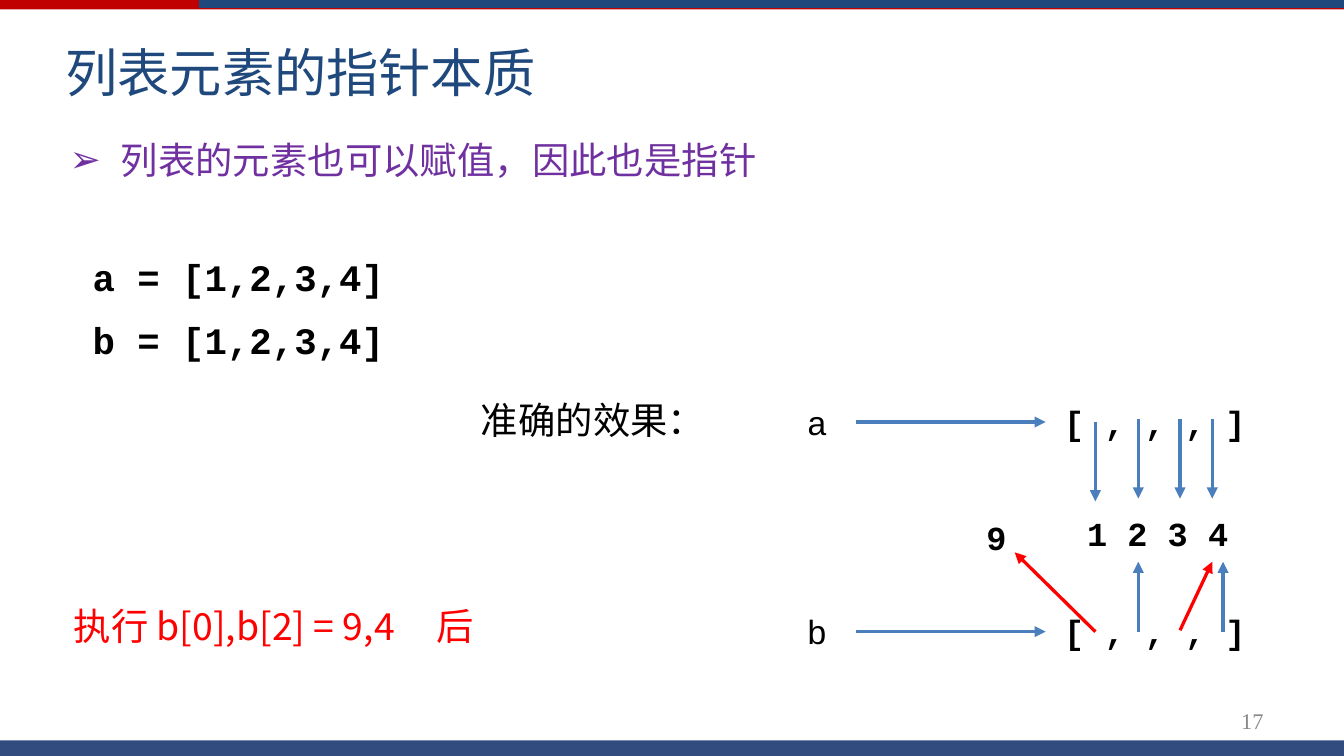
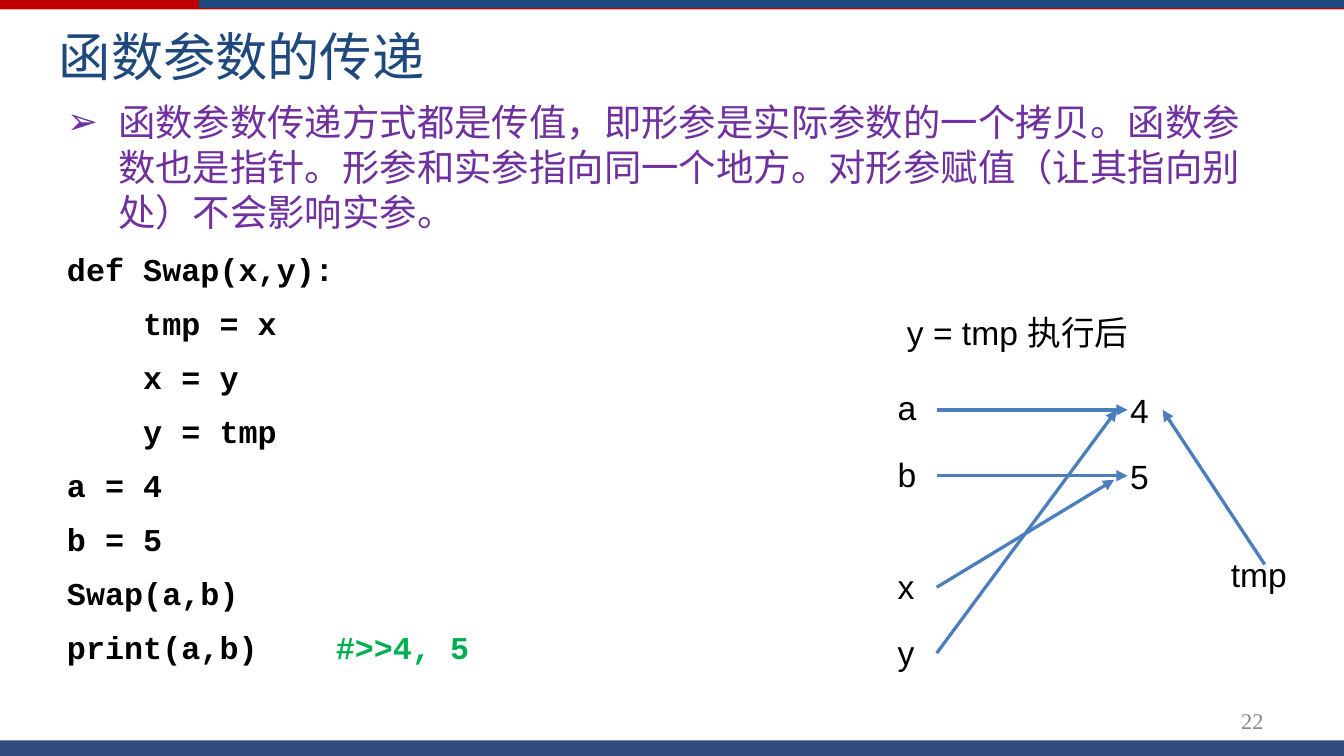
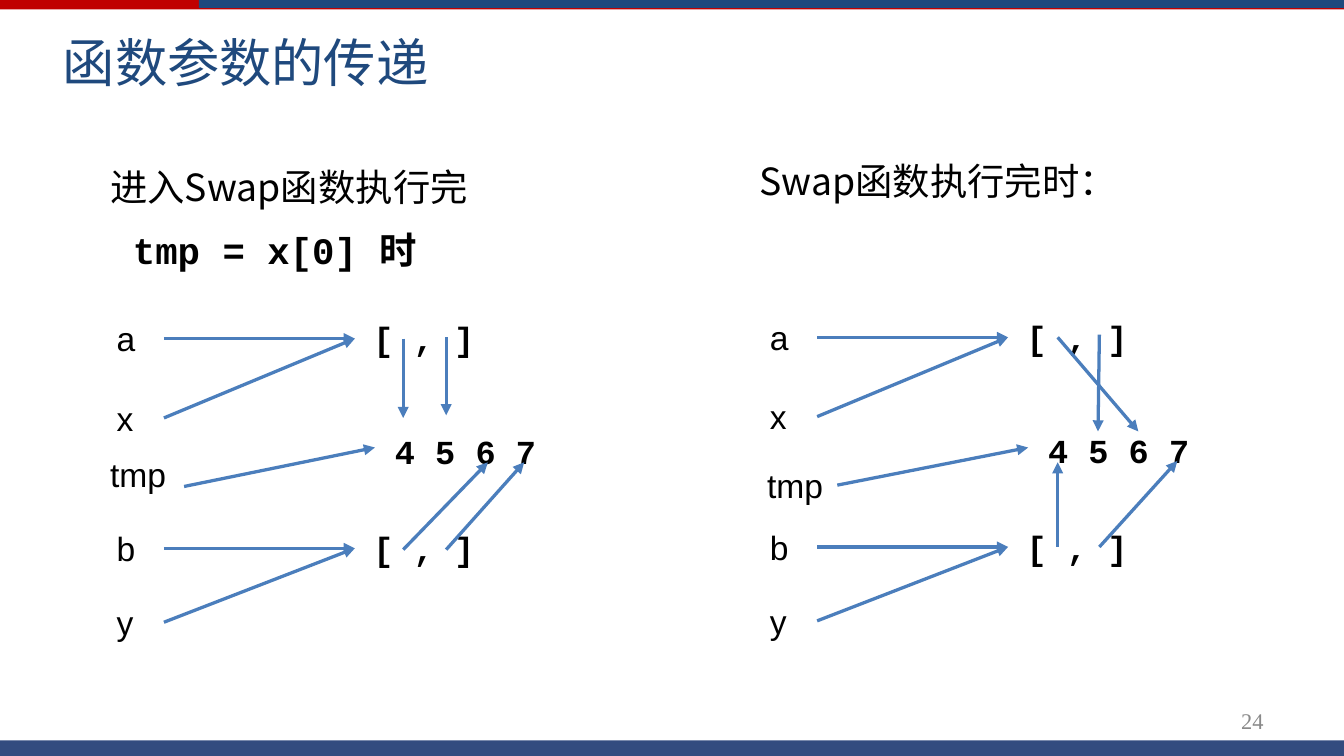
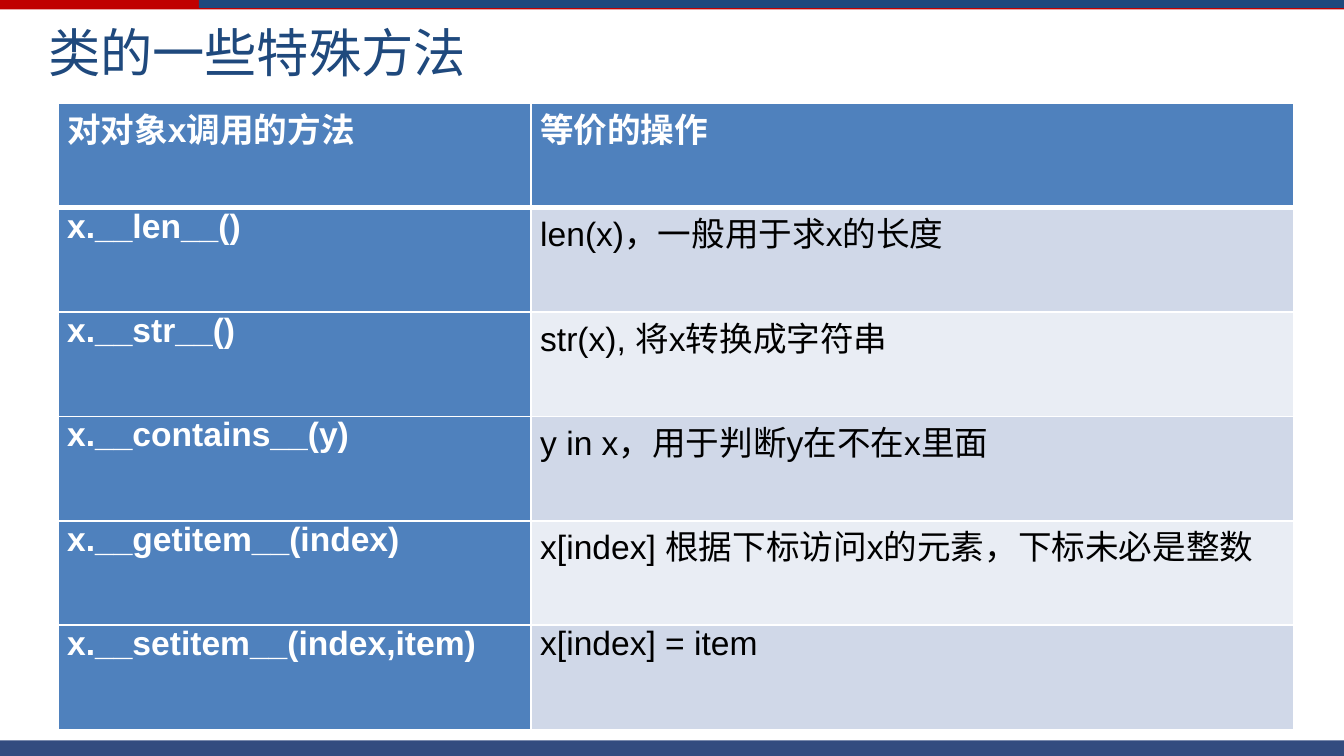
from dataclasses import dataclass, replace

from lxml import etree
from pptx import Presentation
from pptx.dml.color import RGBColor
from pptx.enum import shapes, text
from pptx.oxml import ns
from pptx.util import Inches, Pt


@dataclass(frozen=True)
class Style:
    font: str
    size: int
    color: str
    bold: bool = False
    bullet: str = ""
    indent: float = 0
    tab: float = 0
    line_height: float = 0  # points; 0 keeps the natural height


class Theme:
    cjk = "Noto Sans CJK SC"
    red, navy, footer = "C00000", "1F497D", "002060"
    arrow, alert, output = "4B7EBC", "FF0000", "00B050"
    white, header = "FFFFFF", "4F81BD"
    stripes = ("D0D8E8", "E9EDF4")
    arrow_width = 1.75

    title = Style("Arial", 28, navy)
    body = Style(cjk, 20, "000000", line_height=24)
    point = replace(body, color="7030A0", bullet="➢", indent=0.38)
    warning = replace(body, color=alert, tab=2.7)
    code = Style("Courier New", 20, "000000", True)
    code_mixed = replace(code, indent=0.17, line_height=24)
    code_small = replace(code, size=17, tab=2)
    value = replace(code, size=18)
    label = Style("Arial", 18, "000000")
    cell_head = Style("Arial", 18, white, True)
    number = Style("Times New Roman", 12, "898989")


def rgb(value):
    return RGBColor.from_string(value)


def add_child(parent, tag, **attributes):
    return etree.SubElement(parent, ns.qn(tag), attributes)


# Text
def format_run(run, style):
    run.font.name = style.font
    run.font.size = Pt(style.size)
    run.font.bold = style.bold
    run.font.color.rgb = rgb(style.color)
    add_child(run.font._element, "a:ea", typeface=Theme.cjk)


def write_paragraph(paragraph, content, style, first=True):
    paragraph.text = content
    properties = paragraph._p.get_or_add_pPr()
    if style.indent:
        properties.set("marL", str(Inches(style.indent)))
    if style.bullet:
        properties.set("indent", str(-Inches(style.indent)))
        add_child(properties, "a:buFont", typeface="Arial")
        add_child(properties, "a:buChar", char=style.bullet)
    if style.tab and "\t" in content:
        stops = add_child(properties, "a:tabLst")
        add_child(stops, "a:tab", pos=str(Inches(style.tab)), algn="l")
    if style.line_height:
        paragraph.line_spacing = Pt(style.line_height)
    if not first:
        paragraph.space_before = Pt(style.size / 2)
    for run in paragraph.runs:
        format_run(run, style)


def add_text(slide, place, lines, wrap=True, anchor=text.MSO_ANCHOR.TOP):
    shape = slide.shapes.add_textbox(*map(Inches, place))
    frame = shape.text_frame
    frame.word_wrap = wrap
    frame.vertical_anchor = anchor
    for index, (content, style) in enumerate(lines):
        paragraph = frame.add_paragraph() if index else frame.paragraphs[0]
        write_paragraph(paragraph, content, style, first=index == 0)
    return shape


def add_label(slide, left, top, content, style=Theme.label, width=0.39, height=0.4):
    shape = add_text(slide, (left, top, width, height), [(content, style)], wrap=False)
    shape.text_frame.auto_size = text.MSO_AUTO_SIZE.SHAPE_TO_FIT_TEXT
    return shape


def add_title(slide, content, left, top, width=9.14, height=0.87):
    add_text(slide, (left, top, width, height), [(content, Theme.title)],
             anchor=text.MSO_ANCHOR.MIDDLE)


# Bands and page number
def add_band(slide, place, color, alpha=100):
    band = slide.shapes.add_shape(shapes.MSO_SHAPE.RECTANGLE, *map(Inches, place))
    band.shadow.inherit = False
    band.fill.solid()
    band.fill.fore_color.rgb = rgb(color)
    band.line.fill.background()
    if alpha < 100:
        fill_color = band._element.spPr.find(".//" + ns.qn("a:srgbClr"))
        add_child(fill_color, "a:alpha", val=str(alpha * 1000))


def new_slide(presentation, number=None):
    slide = presentation.slides.add_slide(presentation.slide_layouts[6])
    add_band(slide, (0, 0, 10, 0.07), Theme.red)
    add_band(slide, (1.48, 0, 8.52, 0.06), Theme.navy)
    add_band(slide, (0, 5.51, 10, 0.12), Theme.footer, alpha=80)
    if number:
        shape = add_text(slide, (7.17, 5.21, 2.33, 0.3), [(number, Theme.number)],
                         anchor=text.MSO_ANCHOR.MIDDLE)
        shape.text_frame.paragraphs[0].alignment = text.PP_ALIGN.RIGHT
    return slide


# Arrows
def add_arrow(slide, start, end, color=Theme.arrow):
    arrow = slide.shapes.add_connector(
        shapes.MSO_CONNECTOR.STRAIGHT, *map(Inches, (*start, *end)))
    arrow.line.color.rgb = rgb(color)
    arrow.line.width = Pt(Theme.arrow_width)
    add_child(arrow.line._get_or_add_ln(), "a:tailEnd", type="triangle")
    add_child(arrow._element.spPr, "a:effectLst")
    return arrow


# Table
def add_cell_borders(cell, bottom):
    properties = cell._tc.get_or_add_tcPr()
    for side, width in (("L", 1), ("R", 1), ("T", 1), ("B", bottom)):
        line = add_child(properties, "a:ln" + side, w=str(Pt(width)))
        add_child(add_child(line, "a:solidFill"), "a:srgbClr", val=Theme.white)


def fill_cell(cell, content, style, color, bottom):
    cell.margin_left = cell.margin_right = Inches(0.07)
    cell.margin_top = cell.margin_bottom = 0
    add_cell_borders(cell, bottom)
    cell.fill.solid()
    cell.fill.fore_color.rgb = rgb(color)
    paragraph = cell.text_frame.paragraphs[0]
    write_paragraph(paragraph, content, style)
    paragraph.alignment = text.PP_ALIGN.JUSTIFY


def add_method_table(slide, place, widths, rows):
    table = slide.shapes.add_table(len(rows), len(widths), *map(Inches, place)).table
    for column, width in zip(table.columns, widths):
        column.width = Inches(width)
    for row_index, row in enumerate(rows):
        for column_index, content in enumerate(row):
            is_head = row_index == 0 or column_index == 0
            fill_cell(table.cell(row_index, column_index), content,
                      Theme.cell_head if is_head else Theme.label,
                      Theme.header if is_head else Theme.stripes[(row_index - 1) % 2],
                      bottom=3 if row_index == 0 else 1)


# Slides
def list_pointers_slide(presentation):
    slide = new_slide(presentation, "17")
    add_title(slide, "列表元素的指针本质", 0.39, 0.1)
    add_text(slide, (0.42, 0.97, 9.08, 0.51),
             [("列表的元素也可以赋值，因此也是指针", Theme.point)])
    add_text(slide, (0.59, 1.84, 3.15, 1.6),
             [(f"{name} = [1,2,3,4]", Theme.code) for name in "ab"])
    add_label(slide, 3.48, 2.91, "准确的效果：", Theme.body, 1.88, 0.44)
    add_text(slide, (0.45, 4.44, 3.85, 0.44),
             [("执行 b[0],b[2] = 9,4\t后", Theme.warning)])

    # Variables, their lists and the shared values
    for name, top in (("a", 2.94), ("b", 4.5)):
        add_label(slide, 5.91, top, name)
        add_arrow(slide, (6.37, top + 0.2), (7.78, top + 0.2))
        add_label(slide, 7.82, top, "[ , , , ]", Theme.value, 1.56)
    add_label(slide, 7.99, 3.77, "1 2 3 4", Theme.value, 1.26)
    add_label(slide, 7.24, 3.8, "9", Theme.value, 0.35)

    for x, top in ((8.15, 3.14), (8.47, 3.12), (8.78, 3.12), (9.02, 3.12)):
        add_arrow(slide, (x, top), (x, top + 0.59))
    for x in (8.47, 9.1):
        add_arrow(slide, (x, 4.7), (x, 4.18))
    add_arrow(slide, (8.15, 4.7), (7.55, 4.11), Theme.alert)
    add_arrow(slide, (8.78, 4.69), (9.02, 4.18), Theme.alert)


def swap_values_slide(presentation):
    slide = new_slide(presentation, "22")
    add_title(slide, "函数参数的传递", 0.34, -0.02)
    code = ["def Swap(x,y):", "    tmp = x", "    x = y", "    y = tmp",
            "a = 4", "b = 5", "Swap(a,b)", "print(a,b)\t"]
    explanation = ("函数参数传递方式都是传值，即形参是实际参数的一个拷贝。"
                   "函数参数也是指针。形参和实参指向同一个地方。"
                   "对形参赋值（让其指向别处）不会影响实参。")
    body = add_text(slide, (0.4, 0.69, 9.01, 1.31),
                    [(explanation, Theme.point)]
                    + [(line, Theme.code_small) for line in code])
    result = body.text_frame.paragraphs[-1].add_run()
    result.text = "#>>4, 5"
    format_run(result, replace(Theme.code_small, color=Theme.output))

    # State after the last assignment
    add_label(slide, 6.65, 2.27, "y = tmp 执行后", width=2.05).text_frame.word_wrap = True
    for name, top in (("a", 2.83), ("b", 3.33), ("x", 4.16), ("y", 4.65)):
        add_label(slide, 6.58, top, name, width=0.34)
    add_label(slide, 9.06, 4.07, "tmp", width=0.7)
    four = add_label(slide, 8.31, 2.85, "4", width=0.34)
    add_label(slide, 8.31, 3.34, "5", width=0.34)
    for y in (3.05, 3.54):
        add_arrow(slide, (6.97, y), (8.39, y))
    add_arrow(slide, (6.97, 4.37), (8.29, 3.57))
    add_arrow(slide, (6.97, 4.86), (8.31, 3.05)).end_connect(four, 1)
    add_arrow(slide, (9.41, 4.2), (8.65, 3.05)).end_connect(four, 3)


def add_swap_state(slide, left, top, element_arrows):
    """Variables a, x, b, y, the two lists and the values they point to."""
    first_list, second_list = 0.2, 1.76
    pointers = (("a", 0, first_list), ("x", 0.59, first_list),
                ("b", 1.56, second_list), ("y", 2.11, second_list))
    for name, offset, target in pointers:
        add_label(slide, left, top + offset, name)
        add_arrow(slide, (left + 0.45, top + offset + 0.2), (left + 1.87, top + target))
    for offset in (0, 1.56):
        add_label(slide, left + 1.91, top + offset, "[ , ]", Theme.value, 0.95)
    add_label(slide, left + 2.07, top + 0.84, "4 5 6 7", Theme.value, 1.26)
    for start, end in element_arrows:
        add_arrow(slide, start, end)


def swap_elements_slide(presentation):
    slide = new_slide(presentation, "24")
    add_title(slide, "函数参数的传递", 0.37, 0.02)

    # While the function runs
    add_text(slide, (0.72, 1.17, 3.65, 0.63),
             [("进入Swap函数执行完", Theme.body), ("tmp = x[0] 时", Theme.code_mixed)])
    add_swap_state(slide, 0.77, 2.32, [
        ((3, 2.52), (3, 3.11)), ((3.32, 2.51), (3.32, 3.09)),
        ((3, 4.09), (3.63, 3.44)), ((3.32, 4.09), (3.9, 3.44))])
    add_label(slide, 0.72, 3.33, "tmp", width=0.62)
    add_arrow(slide, (1.37, 3.62), (2.79, 3.33))

    # When the function has finished
    add_text(slide, (5.55, 1.13, 3.65, 0.63), [("Swap函数执行完时：", Theme.body)])
    add_swap_state(slide, 5.63, 2.31, [
        ((7.87, 2.51), (8.47, 3.21)), ((8.18, 2.49), (8.17, 3.21)),
        ((7.87, 4.07), (7.87, 3.44)), ((8.18, 4.07), (8.76, 3.43))])
    tmp = add_label(slide, 5.61, 3.41, "tmp", width=0.62)
    add_arrow(slide, (6.23, 3.62), (7.65, 3.33)).begin_connect(tmp, 3)


def special_methods_slide(presentation):
    slide = new_slide(presentation)
    add_title(slide, "类的一些特殊方法", 0.26, 0.1, 9.37, 0.57)
    add_method_table(slide, (0.43, 0.77, 9.2, 4.66), (3.52, 5.68), [
        ("对对象x调用的方法", "等价的操作"),
        ("x.__len__()", "len(x)，一般用于求x的长度"),
        ("x.__str__()", "str(x), 将x转换成字符串"),
        ("x.__contains__(y)", "y in x，用于判断y在不在x里面"),
        ("x.__getitem__(index)", "x[index] 根据下标访问x的元素，下标未必是整数"),
        ("x.__setitem__(index,item)", "x[index] = item"),
    ])


def main():
    presentation = Presentation()
    presentation.slide_width = Inches(10)
    presentation.slide_height = presentation.slide_width * 9 // 16
    list_pointers_slide(presentation)
    swap_values_slide(presentation)
    swap_elements_slide(presentation)
    special_methods_slide(presentation)
    presentation.save("out.pptx")


if __name__ == "__main__":
    main()
